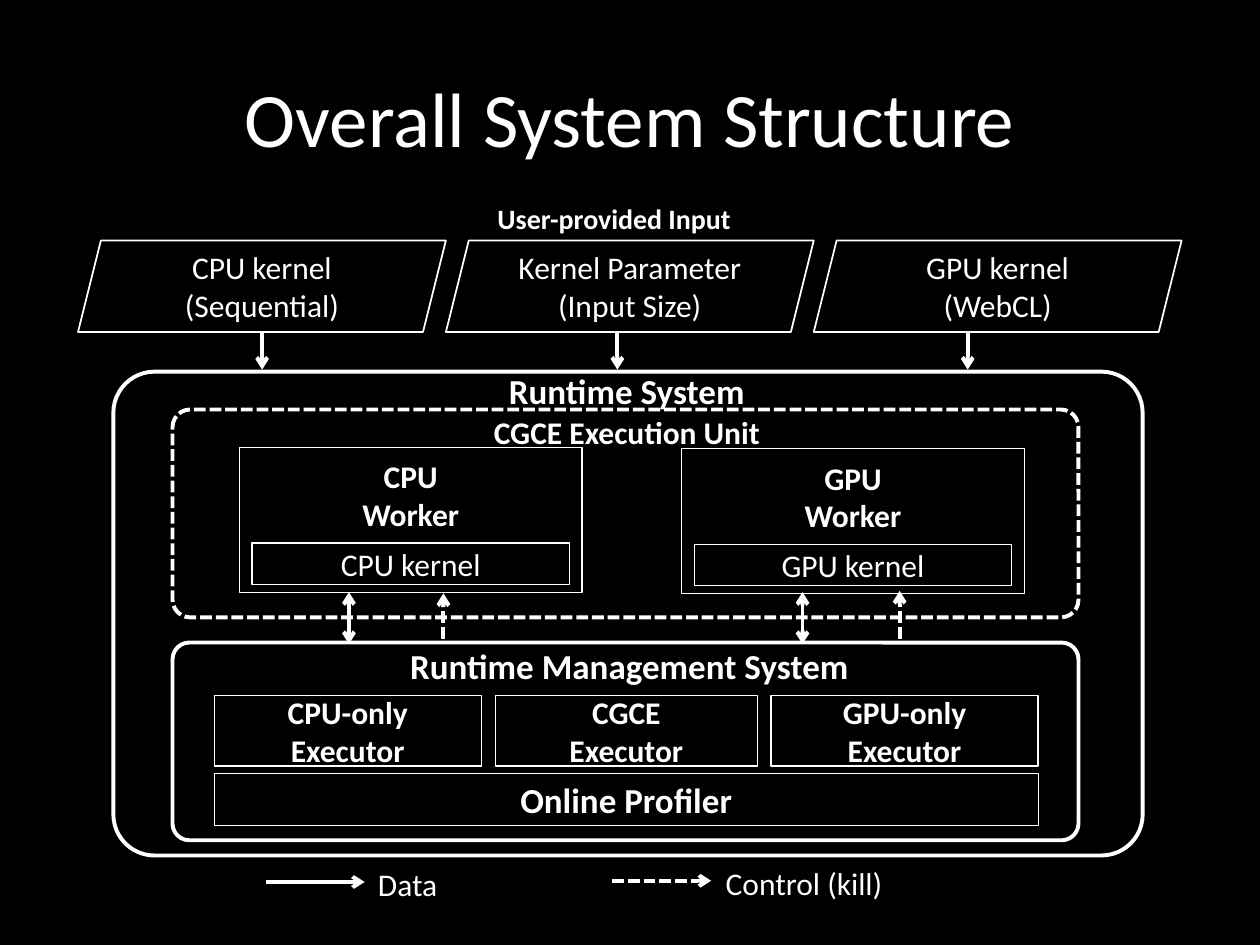
from dataclasses import dataclass

from lxml import etree
from pptx import Presentation
from pptx.dml.color import RGBColor
from pptx.enum import dml, shapes, text
from pptx.oxml.ns import qn
from pptx.util import Pt


@dataclass(frozen=True)
class Theme:
    font: str = "Calibri"
    back: RGBColor = RGBColor(0, 0, 0)
    ink: RGBColor = RGBColor(255, 255, 255)
    title: float = 44
    heading: float = 20
    body: float = 18
    small: float = 16
    thin: float = 0.75
    medium: float = 1
    thick: float = 2.25


T = Theme()
KIND = shapes.MSO_SHAPE


@dataclass
class Box:
    x: float
    y: float
    w: float
    h: float
    words: str = ""
    kind: shapes.MSO_SHAPE = KIND.RECTANGLE
    line: float = T.thin  # 0 means no outline
    size: float = T.body
    bold: bool = False
    dashed: bool = False
    filled: bool = False


@dataclass
class Label:
    x: float
    y: float
    w: float
    h: float
    words: str
    size: float = T.body
    bold: bool = True
    align: text.PP_ALIGN = text.PP_ALIGN.CENTER


@dataclass
class Arrow:
    x1: float
    y1: float
    x2: float
    y2: float
    dashed: bool = False
    double: bool = False


def write(tf, words: str, size: float, bold: bool = False,
          align: text.PP_ALIGN = text.PP_ALIGN.CENTER) -> None:
    tf.text = words
    tf.word_wrap = True
    tf.margin_left = tf.margin_right = 0
    for p in tf.paragraphs:
        p.alignment = align
        for r in p.runs:
            r.font.name, r.font.size, r.font.bold = T.font, Pt(size), bold
            r.font.color.rgb = T.ink


def style_line(line, width: float, dashed: bool) -> None:
    line.color.rgb = T.ink
    line.width = Pt(width)
    if dashed:
        line.dash_style = dml.MSO_LINE.SQUARE_DOT


def draw_box(s, b: Box) -> None:
    sp = s.shapes.add_shape(b.kind, Pt(b.x), Pt(b.y), Pt(b.w), Pt(b.h))
    sp.shadow.inherit = False
    if b.kind == KIND.ROUNDED_RECTANGLE:
        sp.adjustments[0] = 0.085
    if b.filled:
        sp.fill.solid()
        sp.fill.fore_color.rgb = T.back
    else:
        sp.fill.background()
    if b.line:
        style_line(sp.line, b.line, b.dashed)
    else:
        sp.line.fill.background()
    if b.words:
        tf = sp.text_frame
        write(tf, b.words, b.size, b.bold)
        tf.margin_top = tf.margin_bottom = 0
        tf.vertical_anchor = text.MSO_ANCHOR.MIDDLE


def draw_label(s, b: Label) -> None:
    sp = s.shapes.add_textbox(Pt(b.x), Pt(b.y), Pt(b.w), Pt(b.h))
    write(sp.text_frame, b.words, b.size, b.bold, b.align)


def draw_arrow(s, a: Arrow) -> None:
    cx = s.shapes.add_connector(shapes.MSO_CONNECTOR.STRAIGHT,
                                Pt(a.x1), Pt(a.y1), Pt(a.x2), Pt(a.y2))
    style_line(cx.line, T.thick, a.dashed)
    ln = cx.line._get_or_add_ln()
    for end in ("a:headEnd", "a:tailEnd") if a.double else ("a:tailEnd",):
        etree.SubElement(ln, qn(end), type="arrow")
    etree.SubElement(cx._element.spPr, qn("a:effectLst"))


def draw_title(s) -> None:
    sp = s.shapes.title
    sp.left, sp.top, sp.width, sp.height = Pt(36), Pt(21.6), Pt(648), Pt(90)
    write(sp.text_frame, "Overall System Structure", T.title)
    sp.text_frame.vertical_anchor = text.MSO_ANCHOR.MIDDLE


def draw_inputs(s) -> None:
    draw_label(s, Label(239, 111.6, 223.9, 26.6, "User-provided Input", T.small))
    inputs = (("CPU kernel\n(Sequential)", 149.8),
              ("Kernel Parameter\n(Input Size)", 352.8),
              ("GPU kernel\n(WebCL)", 553))
    w = 210.2
    for i, (words, arrow_x) in enumerate(inputs):
        draw_box(s, Box(44.6 + i * w, 137.5, w, 52.2, words,
                        KIND.PARALLELOGRAM, T.medium))
        draw_arrow(s, Arrow(arrow_x, 190.1, arrow_x, 211.2))


def draw_worker(s, name: str, x: float, y: float) -> None:
    draw_box(s, Box(x + 7.2, y + 3.6, 181.4, 47.5, f"{name}\nWorker",
                    line=0, bold=True, filled=True))
    draw_box(s, Box(x + 7.2, y + 54.7, 181.4, 23.8, f"{name} kernel", filled=True))
    draw_box(s, Box(x, y, 195.8, 82.8))


def draw_runtime(s) -> None:
    rounded = KIND.ROUNDED_RECTANGLE
    draw_box(s, Box(64.8, 212.4, 588.2, 276.5, kind=rounded, line=T.thick))
    draw_label(s, Label(92.9, 207.4, 530.6, 36.7, "Runtime System", T.heading))

    # Execution unit with its two workers
    draw_box(s, Box(98.6, 234, 517.7, 118.8, kind=rounded, line=T.thick,
                    dashed=True, filled=True))
    draw_worker(s, "GPU", 389.5, 256.3)
    draw_label(s, Label(128.2, 232.6, 460.1, 33.8, "CGCE Execution Unit"))
    draw_worker(s, "CPU", 136.8, 255.6)

    # Management system with executors and profiler
    draw_box(s, Box(98.6, 367.2, 517.7, 113, kind=rounded, line=T.thick))
    draw_label(s, Label(226.1, 365, 267.1, 31.7, "Runtime Management System",
                        T.heading))
    executors = (("CPU-only", 122.4, 152.6), ("CGCE", 283, 149.8),
                 ("GPU-only", 440.6, 152.6))
    for name, x, w in executors:
        draw_box(s, Box(x, 397.4, w, 40.3, f"{name}\nExecutor", bold=True,
                        filled=True))
    draw_box(s, Box(122.4, 442.1, 470.9, 29.5, "Online Profiler",
                    size=T.heading, bold=True, filled=True))

    # Data and control flow between management and workers
    for data_x, control_x, top in ((199.4, 253.4, 339.1), (458.6, 514.1, 337.7)):
        draw_arrow(s, Arrow(data_x, 338.4, data_x, 368, double=True))
        draw_arrow(s, Arrow(control_x, 365, control_x, top, dashed=True))


def draw_legend(s) -> None:
    entries = (("Data", 151.9, 504, 216, 491, False),
               ("Control (kill)", 349.9, 503.3, 414.7, 490.3, True))
    for words, x, y, text_x, text_y, dashed in entries:
        draw_arrow(s, Arrow(x, y, x + 56.5, y, dashed))
        draw_label(s, Label(text_x, text_y, 100, 33.8, words, bold=False,
                            align=text.PP_ALIGN.LEFT))


def main() -> None:
    prs = Presentation()
    prs.slide_width, prs.slide_height = Pt(720), Pt(540)
    s = prs.slides.add_slide(prs.slide_layouts[5])
    s.background.fill.solid()
    s.background.fill.fore_color.rgb = T.back
    draw_title(s)
    draw_inputs(s)
    draw_runtime(s)
    draw_legend(s)
    prs.save("out.pptx")


if __name__ == "__main__":
    main()
